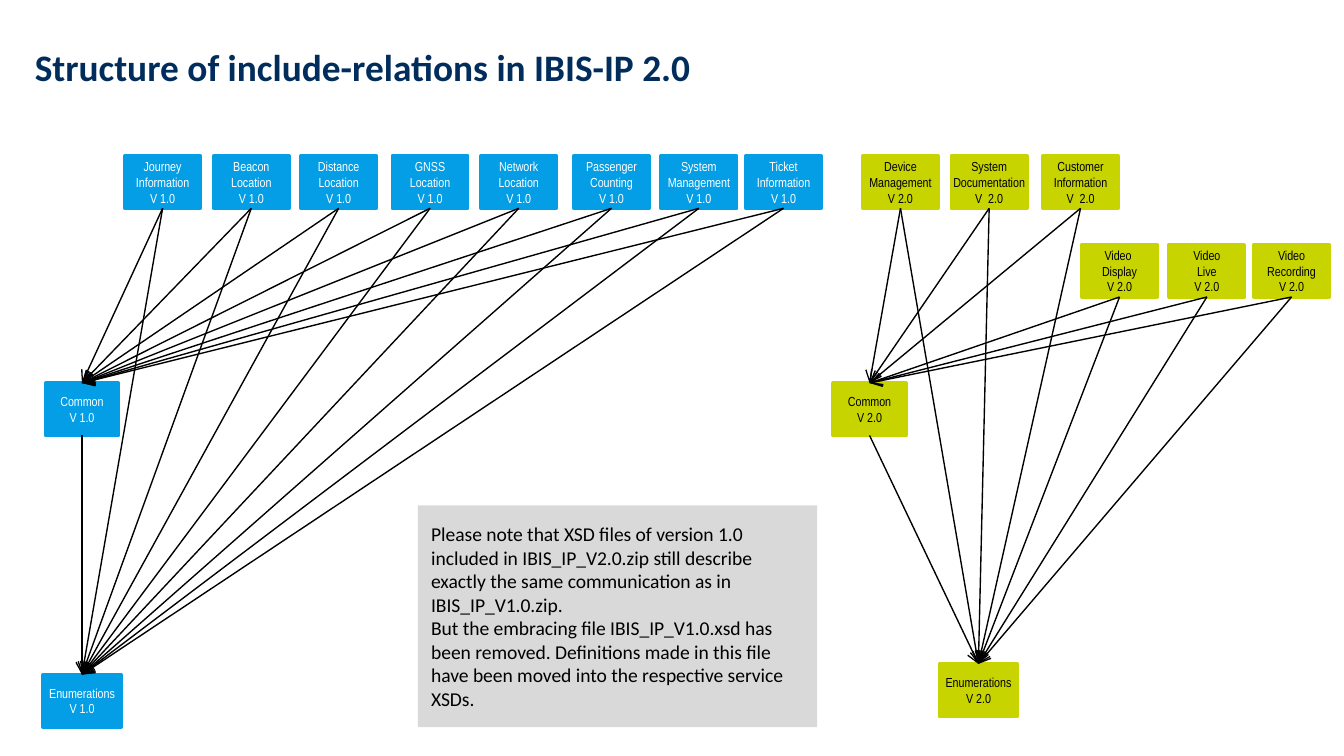
from dataclasses import dataclass

from lxml.etree import SubElement
from pptx import Presentation
from pptx.dml.color import RGBColor
from pptx.enum.shapes import MSO_CONNECTOR, MSO_SHAPE
from pptx.enum.text import MSO_ANCHOR, PP_ALIGN
from pptx.oxml.ns import qn
from pptx.shapes.autoshape import Shape
from pptx.slide import Slide
from pptx.text.text import TextFrame
from pptx.util import Inches, Pt


@dataclass(frozen=True)
class Theme:
    blue: str = "039EE6"
    green: str = "C8D400"
    navy: str = "002D5B"
    grey: str = "D9D9D9"
    black: str = "000000"
    white: str = "FFFFFF"
    heading_font: str = "Calibri"
    box_font: str = "Arial Narrow"
    title_size: float = 20
    note_size: float = 10.5
    box_size: float = 7
    outline: float = 2
    arrow: float = 0.75


@dataclass(frozen=True)
class Schema:
    label: str
    left: float
    top: float
    width: float = 0.56
    height: float = 0.39


@dataclass(frozen=True)
class Version:
    fill: str
    ink: str
    services: tuple[Schema, ...]
    common: Schema
    enumerations: Schema


THEME = Theme()
SERVICE_TOP = 1.16
VIDEO_TOP = 1.82
COMMON_TOP = 2.85
TOP_SITE, BOTTOM_SITE = 0, 2

VERSIONS = (
    Version(
        THEME.blue,
        THEME.white,
        (
            Schema("Journey\nInformation\nV 1.0", 0.93, SERVICE_TOP),
            Schema("Beacon\nLocation\nV 1.0", 1.59, SERVICE_TOP),
            Schema("Distance\nLocation\nV 1.0", 2.24, SERVICE_TOP),
            Schema("GNSS\nLocation\nV 1.0", 2.92, SERVICE_TOP),
            Schema("Network\nLocation\nV 1.0", 3.58, SERVICE_TOP),
            Schema("Passenger\nCounting\nV 1.0", 4.27, SERVICE_TOP),
            Schema("System\nManagement\nV 1.0", 4.92, SERVICE_TOP),
            Schema("Ticket\nInformation\nV 1.0", 5.55, SERVICE_TOP),
        ),
        Schema("Common\nV 1.0", 0.34, COMMON_TOP, 0.54),
        Schema("Enumerations\nV 1.0", 0.32, 5.02, 0.58),
    ),
    Version(
        THEME.green,
        THEME.black,
        (
            Schema("Device\nManagement\nV 2.0", 6.42, SERVICE_TOP),
            Schema("System\nDocumentation\nV  2.0", 7.08, SERVICE_TOP),
            Schema("Customer\nInformation\nV  2.0", 7.76, SERVICE_TOP),
            Schema("Video \vDisplay\nV 2.0", 8.05, VIDEO_TOP),
            Schema("Video\vLive\nV 2.0", 8.7, VIDEO_TOP),
            Schema("Video Recording\nV 2.0", 9.33, VIDEO_TOP),
        ),
        Schema("Common\nV 2.0", 6.2, COMMON_TOP, 0.54),
        Schema("Enumerations\nV 2.0", 6.99, 4.94, 0.58),
    ),
)

NOTE = (
    "Please note that XSD files of version 1.0 included in IBIS_IP_V2.0.zip "
    "still describe exactly the same communication as in IBIS_IP_V1.0.zip. \v"
    "But the embracing file IBIS_IP_V1.0.xsd has been removed. Definitions made "
    "in this file have been moved into the respective service XSDs. "
)


def write(frame: TextFrame, text: str, font: str, size: float, ink: str,
          align: PP_ALIGN, anchor: MSO_ANCHOR, side: float = 0,
          bold: bool = False) -> None:
    frame.text = text
    frame.word_wrap = True
    frame.vertical_anchor = anchor
    frame.margin_left = frame.margin_right = Inches(side)
    frame.margin_top = frame.margin_bottom = Inches(0.05)
    for paragraph in frame.paragraphs:
        paragraph.alignment = align
        for run in paragraph.runs:
            run.font.name = font
            run.font.size = Pt(size)
            run.font.bold = bold
            run.font.color.rgb = RGBColor.from_string(ink)


def add_rectangle(slide: Slide, left: float, top: float, width: float,
                  height: float, fill: str) -> Shape:
    rectangle = slide.shapes.add_shape(
        MSO_SHAPE.RECTANGLE, Inches(left), Inches(top), Inches(width), Inches(height))
    rectangle.shadow.inherit = False
    rectangle.fill.solid()
    rectangle.fill.fore_color.rgb = RGBColor.from_string(fill)
    rectangle.line.fill.background()
    return rectangle


def add_schema(slide: Slide, schema: Schema, version: Version) -> Shape:
    box = add_rectangle(slide, schema.left, schema.top, schema.width,
                        schema.height, version.fill)
    box.line.color.rgb = RGBColor.from_string(version.fill)
    box.line.width = Pt(THEME.outline)
    write(box.text_frame, schema.label, THEME.box_font, THEME.box_size,
          version.ink, PP_ALIGN.CENTER, MSO_ANCHOR.MIDDLE)
    return box


def add_include(slide: Slide, source: Shape, target: Shape) -> None:
    include = slide.shapes.add_connector(MSO_CONNECTOR.STRAIGHT, 0, 0, 0, 0)
    include.begin_connect(source, BOTTOM_SITE)
    include.end_connect(target, TOP_SITE)
    include.line.color.rgb = RGBColor.from_string(THEME.black)
    include.line.width = Pt(THEME.arrow)
    SubElement(include.line._get_or_add_ln(), qn("a:tailEnd"), type="arrow")
    SubElement(include._element.spPr, qn("a:effectLst"))


def add_version(slide: Slide, version: Version) -> None:
    common = add_schema(slide, version.common, version)
    enumerations = add_schema(slide, version.enumerations, version)
    services = [add_schema(slide, service, version) for service in version.services]
    add_include(slide, common, enumerations)
    for service in services:
        add_include(slide, service, common)
        add_include(slide, service, enumerations)


def add_title(slide: Slide) -> None:
    title = slide.shapes.title
    title.left, title.top = Inches(0), Inches(0.28)
    title.width, title.height = Inches(5.4), Inches(0.68)
    write(title.text_frame, "Structure of include-relations in IBIS-IP 2.0",
          THEME.heading_font, THEME.title_size, THEME.navy,
          PP_ALIGN.CENTER, MSO_ANCHOR.TOP, bold=True)


def add_note(slide: Slide) -> None:
    note = add_rectangle(slide, 3.11, 3.76, 2.97, 1.65, THEME.grey)
    write(note.text_frame, NOTE, THEME.heading_font, THEME.note_size,
          THEME.black, PP_ALIGN.LEFT, MSO_ANCHOR.MIDDLE, side=0.1)


def main() -> None:
    deck = Presentation()
    deck.slide_width = Inches(10)
    deck.slide_height = deck.slide_width * 9 // 16
    slide = deck.slides.add_slide(deck.slide_layouts[5])
    add_title(slide)
    for version in VERSIONS:
        add_version(slide, version)
    add_note(slide)
    deck.save("out.pptx")


main()
